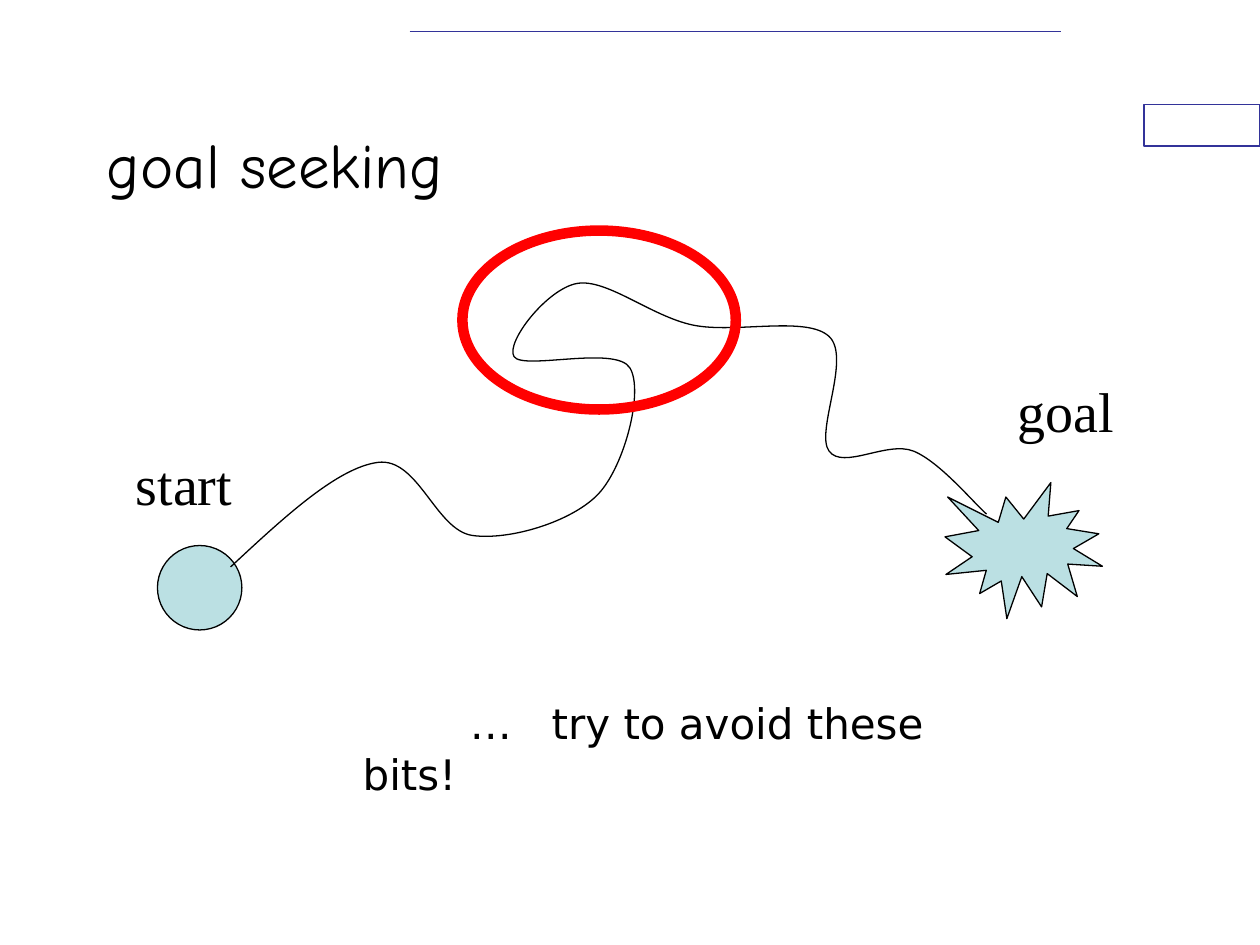
from lxml.etree import SubElement
from pptx import Presentation
from pptx.dml.color import RGBColor
from pptx.enum.shapes import MSO_CONNECTOR, MSO_SHAPE
from pptx.enum.text import MSO_ANCHOR
from pptx.oxml.ns import qn
from pptx.util import Inches, Pt

COLORS = {"ink": "000000", "paper": "FFFFFF", "navy": "333399",
          "pale": "BBE0E3", "alert": "FF0000"}
LABEL = {"name": "Times New Roman", "size": Pt(32)}
TITLE = {"name": "Comic Neue", "size": Pt(36)}
NOTE = {"name": "DejaVu Sans", "size": Pt(24)}

# The first knot only sets the direction in which the route leaves the start.
KNOTS = [(0.42, 6.07), (1.83, 4.5), (3, 3.67), (3.75, 4.25), (4.75, 3.92),
         (5, 2.92), (4.08, 2.83), (4.58, 2.25), (5.5, 2.58), (6.58, 2.67),
         (6.58, 3.58), (7.25, 3.58), (7.83, 4.08)]


def color(name):
    return RGBColor.from_string(COLORS[name])


def style(shape, fill, line, width):
    shape.shadow.inherit = False
    if fill:
        shape.fill.solid()
        shape.fill.fore_color.rgb = color(fill)
    else:
        shape.fill.background()
    shape.line.color.rgb = color(line)
    shape.line.width = Pt(width)


def add_form(slide, kind, box, fill, line, width=0.75):
    shape = slide.shapes.add_shape(kind, *map(Inches, box))
    style(shape, fill, line, width)


def add_rule(slide, start, end):
    rule = slide.shapes.add_connector(
        MSO_CONNECTOR.STRAIGHT, *map(Inches, start + end))
    rule.line.color.rgb = color("navy")
    rule.line.width = Pt(1)
    SubElement(rule._element.spPr, qn("a:effectLst"))


def add_text(slide, text, box, font, wrap=False, anchor=MSO_ANCHOR.TOP):
    frame = slide.shapes.add_textbox(*map(Inches, box)).text_frame
    frame.word_wrap = wrap
    frame.vertical_anchor = anchor
    para = frame.paragraphs[0]
    run = para.add_run()
    run.text = text
    for key, value in font.items():
        setattr(run.font, key, value)
    run.font.color.rgb = color("ink")
    return para


def set_indent(para, first, tab):
    """Indent the first line and place one tab stop."""
    props = para._p.get_or_add_pPr()
    props.set("marL", "0")
    props.set("indent", str(Inches(first)))
    stops = SubElement(props, qn("a:tabLst"))
    SubElement(stops, qn("a:tab"), pos=str(Inches(tab)), algn="l")


def spline(knots):
    """Give the Bezier points of a Catmull-Rom curve from the second knot on."""
    ends = knots + knots[-1:]
    points = []
    for a, b, c, d in zip(ends, ends[1:], ends[2:], ends[3:]):
        points.append([q + (r - p) / 6 for p, q, r in zip(a, b, c)])
        points.append([r - (s - q) / 6 for q, r, s in zip(b, c, d)])
        points.append(c)
    return points


def add_route(slide, knots):
    """Draw a smooth line, turning each three segments into one Bezier."""
    points = [tuple(map(Inches, point)) for point in spline(knots)]
    form = slide.shapes.build_freeform(*map(Inches, knots[1]))
    form.add_line_segments(points, close=False)
    route = form.convert_to_shape()
    style(route, None, "ink", 0.75)
    lines = route._element.xpath(".//a:lnTo")
    for trio in zip(lines[::3], lines[1::3], lines[2::3]):
        curve = SubElement(trio[0].getparent(), qn("a:cubicBezTo"))
        for line in trio:
            curve.append(line[0])
            line.getparent().remove(line)


def main():
    deck = Presentation()
    deck.slide_width, deck.slide_height = Inches(10), Inches(7.5)
    slide = deck.slides.add_slide(deck.slide_layouts[6])

    add_form(slide, MSO_SHAPE.RECTANGLE, (9.08, 0.83, 0.92, 0.33),
             "paper", "navy")
    add_rule(slide, (3.25, 0.25), (8.42, 0.25))
    add_text(slide, "goal seeking", (0.75, 0.67, 7.5, 1.25), TITLE,
             wrap=True, anchor=MSO_ANCHOR.MIDDLE)
    note = add_text(slide, "…\ttry to avoid these bits!",
                    (2.78, 5.49, 4.88, 0.5), NOTE, wrap=True)
    set_indent(note, 0.85, 1.49)

    add_form(slide, MSO_SHAPE.EXPLOSION1, (7.5, 3.83, 1.25, 1.08),
             "pale", "ink")
    add_text(slide, "goal", (7.98, 2.94, 1, 0.64), LABEL)
    add_text(slide, "start", (0.98, 3.52, 1, 0.64), LABEL)
    add_form(slide, MSO_SHAPE.FLOWCHART_CONNECTOR, (1.25, 4.33, 0.67, 0.67),
             "pale", "ink")
    add_route(slide, KNOTS)
    add_form(slide, MSO_SHAPE.OVAL, (3.67, 1.83, 2.17, 1.42),
             None, "alert", 6)
    deck.save("out.pptx")


if __name__ == "__main__":
    main()
